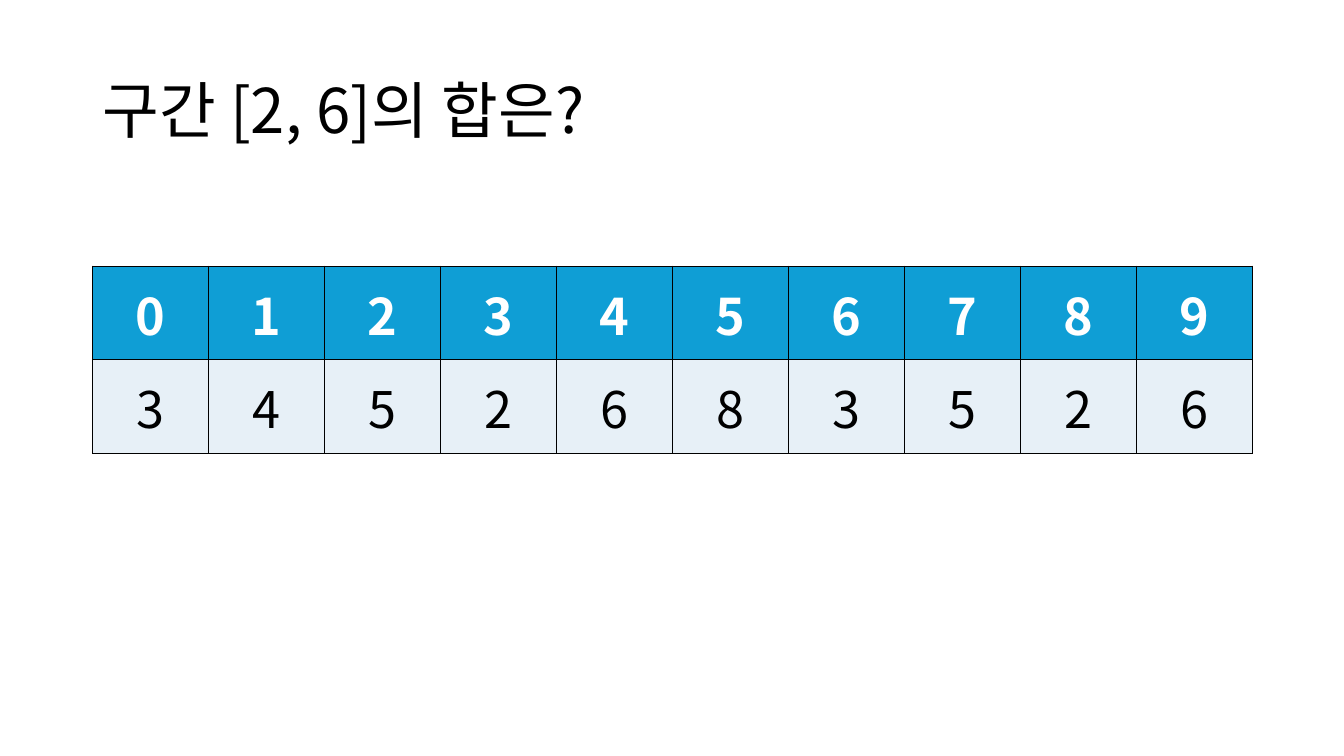
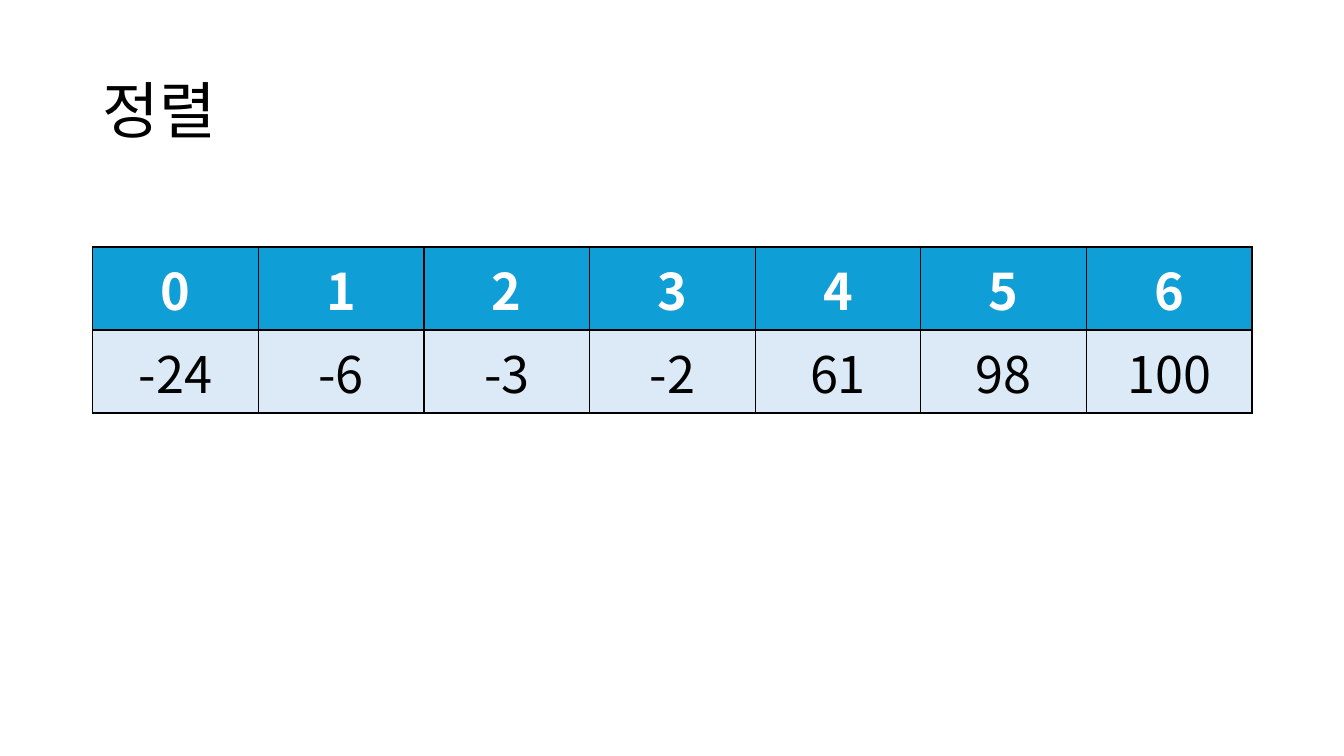
from lxml import etree
from pptx import Presentation
from pptx import util as u
from pptx.dml.color import RGBColor
from pptx.enum import text
from pptx.oxml.ns import qn


def color(value):
    return RGBColor.from_string(value)


def write(frame, content, size, ink="000000", bold=False,
          align=text.PP_ALIGN.LEFT, spacing=None, face="Noto Sans CJK KR"):
    paragraph = frame.paragraphs[0]
    paragraph.alignment = align
    if spacing:
        paragraph.line_spacing = spacing
    run = paragraph.add_run()
    run.text = content
    run.font.size = u.Pt(size)
    run.font.bold = bold
    run.font.color.rgb = color(ink)
    run.font.name = face
    properties = run.font._element
    etree.SubElement(properties, qn("a:ea")).set("typeface", face)


class Deck:
    LEFT, WIDTH = 0.92, 11.5
    HEADER, RULE = "0F9ED5", "000000"

    def __init__(self):
        self.presentation = Presentation()
        self.presentation.slide_width = u.Inches(13.33)
        self.presentation.slide_height = u.Inches(7.5)
        self.slide = None

    def add_slide(self, heading):
        layout = self.presentation.slide_layouts[5]
        self.slide = self.presentation.slides.add_slide(layout)
        title = self.slide.shapes.title
        title.left, title.top = u.Inches(self.LEFT), u.Inches(0.4)
        title.width, title.height = u.Inches(self.WIDTH), u.Inches(1.45)
        frame = title.text_frame
        frame.word_wrap = True
        frame.auto_size = text.MSO_AUTO_SIZE.NONE
        frame.vertical_anchor = text.MSO_ANCHOR.MIDDLE
        write(frame, heading, 44, spacing=0.9)

    def add_border(self, cell):
        properties = cell._tc.get_or_add_tcPr()
        for position, side in enumerate(("lnL", "lnR", "lnT", "lnB")):
            line = etree.Element(qn(f"a:{side}"), w=str(u.Pt(1)))
            fill = etree.SubElement(line, qn("a:solidFill"))
            etree.SubElement(fill, qn("a:srgbClr")).set("val", self.RULE)
            properties.insert(position, line)

    def add_cell(self, cell, content, fill, ink, bold):
        cell.fill.solid()
        cell.fill.fore_color.rgb = color(fill)
        cell.vertical_anchor = text.MSO_ANCHOR.MIDDLE
        write(cell.text_frame, content, 36, ink=ink, bold=bold,
              align=text.PP_ALIGN.CENTER)
        self.add_border(cell)

    def add_array(self, values, top, row_height, value_fill):
        count = len(values)
        array = self.slide.shapes.add_table(
            2, count, u.Inches(self.LEFT), u.Inches(top),
            u.Inches(self.WIDTH), u.Inches(2 * row_height)).table
        for column in array.columns:
            column.width = u.Inches(self.WIDTH / count)
        for row in array.rows:
            row.height = u.Inches(row_height)
        for index, value in enumerate(values):
            self.add_cell(array.cell(0, index), str(index), self.HEADER, "FFFFFF", True)
            self.add_cell(array.cell(1, index), str(value), value_fill, "000000", False)


def main():
    deck = Deck()
    deck.add_slide("구간 [2, 6]의 합은?")
    deck.add_array([3, 4, 5, 2, 6, 8, 3, 5, 2, 6], 2.64, 0.93, "E7F0F7")
    deck.add_slide("정렬")
    deck.add_array([-24, -6, -3, -2, 61, 98, 100], 2.45, 0.82, "DCEAF7")
    deck.presentation.save("out.pptx")


if __name__ == "__main__":
    main()
